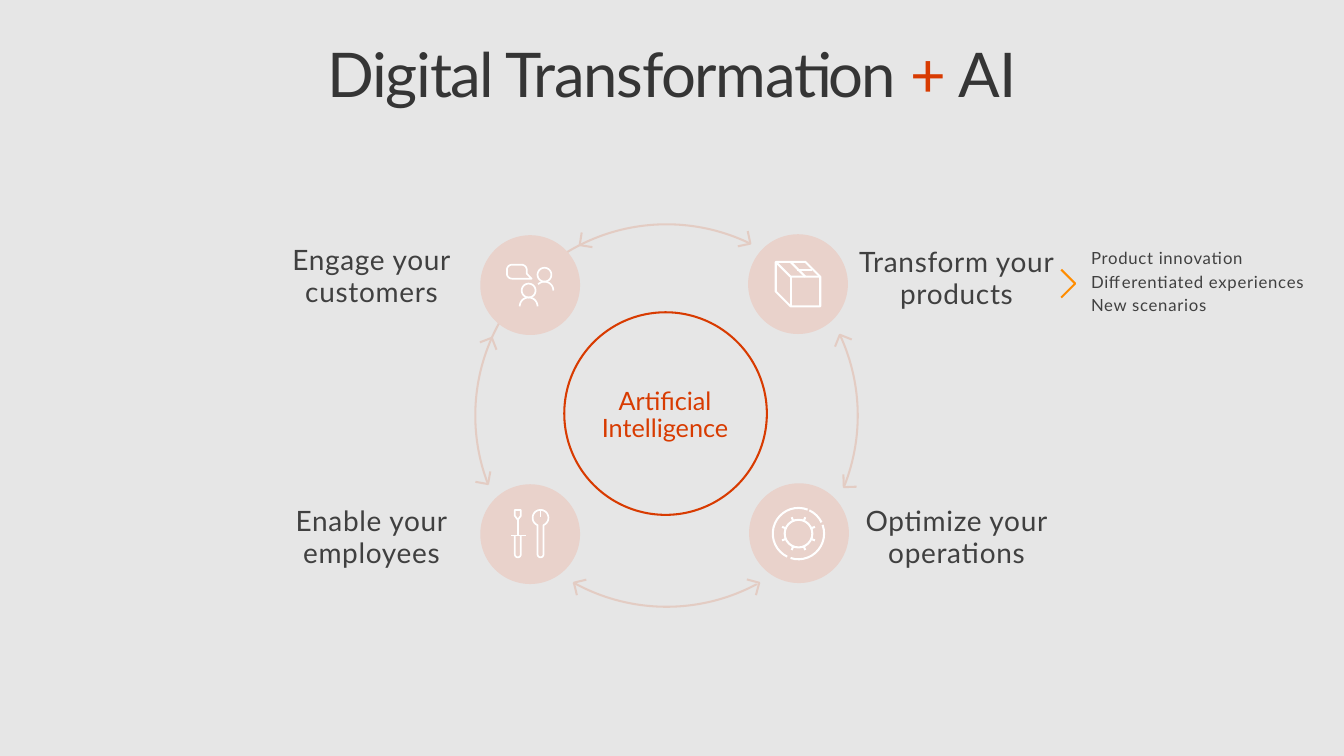
from math import cos, radians, sin

from lxml.etree import SubElement
from pptx import Presentation
from pptx.dml.color import RGBColor
from pptx.enum.shapes import MSO_CONNECTOR, MSO_SHAPE
from pptx.enum.text import MSO_ANCHOR, PP_ALIGN
from pptx.oxml.ns import qn
from pptx.util import Emu, Pt

EMU_PER_PX = 9144
FONT = "Lato"
BACKGROUND = "E6E6E6"
ACCENT = "D83B01"
BLUSH = "E9D2CB"
WHITE = "FFFFFF"
GRAY = "404040"
TITLE_GRAY = "353535"
ORANGE = "FF8C00"


def px(value):
    return Emu(round(value * EMU_PER_PX))


def color(value):
    return RGBColor.from_string(value)


def paint(shape, fill=None, line=None, width=1.5, opacity=None):
    shape.shadow.inherit = False
    if fill:
        shape.fill.solid()
        shape.fill.fore_color.rgb = color(fill)
        if opacity:
            tint = shape._element.spPr.find(qn("a:solidFill"))[0]
            SubElement(tint, qn("a:alpha"), val=str(opacity * 1000))
    else:
        shape.fill.background()
    if line:
        shape.line.color.rgb = color(line)
        shape.line.width = Pt(width)
    else:
        shape.line.fill.background()


def add_preset(slide, preset, left, top, width, height, **style):
    shape = slide.shapes.add_shape(preset, px(left), px(top), px(width), px(height))
    paint(shape, **style)
    return shape


def add_circle(slide, left, top, size, **style):
    return add_preset(slide, MSO_SHAPE.OVAL, left, top, size, size, **style)


def arc(center_x, center_y, radius, start, end):
    steps = max(4, round(abs(end - start) / 10))
    angles = [radians(start + (end - start) * step / steps) for step in range(steps + 1)]
    return [(center_x + radius * cos(a), center_y + radius * sin(a)) for a in angles]


def add_outline(slide, left, top, contours, line=WHITE, width=1.5):
    placed = [[(px(left + x), px(top + y)) for x, y in contour] for contour in contours]
    builder = slide.shapes.build_freeform(*placed[0][0])
    for index, contour in enumerate(placed):
        if index:
            builder.move_to(*contour[0])
        builder.add_line_segments(contour[1:], close=contour[0] == contour[-1])
    paint(builder.convert_to_shape(), line=line, width=width)


def add_chevron(slide, tip_x, tip_y, heading, length, line):
    first, last = (arc(tip_x, tip_y, length, heading + turn, heading + turn)[0]
                   for turn in (135, 225))
    add_outline(slide, 0, 0, [[first, (tip_x, tip_y), last]], line)


def add_stroke(slide, left, top, start, end):
    connector = slide.shapes.add_connector(
        MSO_CONNECTOR.STRAIGHT, px(left + start[0]), px(top + start[1]),
        px(left + end[0]), px(top + end[1]))
    connector.line.color.rgb = color(WHITE)
    connector.line.width = Pt(1.5)
    SubElement(connector._element.spPr, qn("a:effectLst"))


def set_frame(shape, margin_x, margin_y, anchor):
    frame = shape.text_frame
    frame.word_wrap = True
    frame.vertical_anchor = anchor
    frame.margin_left = frame.margin_right = px(margin_x)
    frame.margin_top = frame.margin_bottom = px(margin_y)
    return frame


def write(paragraph, runs, size, alignment, spacing, tracking=0):
    paragraph.alignment = alignment
    paragraph.line_spacing = spacing
    paragraph.font.name = FONT
    paragraph.font.size = Pt(size)
    if len(runs) == 1:
        paragraph.font.color.rgb = color(runs[0][1])
    for text, run_color in runs:
        run = paragraph.add_run()
        run.text = text
        if len(runs) > 1:
            run.font.color.rgb = color(run_color)
        if tracking:
            run._r.get_or_add_rPr().set("spc", str(tracking))


def add_text_box(slide, left, top, width, height, margin_x, margin_y, anchor=MSO_ANCHOR.TOP):
    box = slide.shapes.add_textbox(px(left), px(top), px(width), px(height))
    return set_frame(box, margin_x, margin_y, anchor)


def add_title(slide, left, top, width, height):
    frame = add_text_box(slide, left, top, width, height, 16, 10)
    runs = [("Digital Transformation ", TITLE_GRAY), ("+", ACCENT), (" AI", TITLE_GRAY)]
    write(frame.paragraphs[0], runs, 44.9, PP_ALIGN.CENTER, 0.9, -100)


def add_outcomes(slide, left, top, width, height):
    frame = add_text_box(slide, left + 9, top, width - 9, height, 20, 16)
    outcomes = ["Product innovation", "Differentiated experiences", "New scenarios"]
    for index, outcome in enumerate(outcomes):
        paragraph = frame.add_paragraph() if index else frame.paragraphs[0]
        paragraph.space_after = Pt(4.1)
        write(paragraph, [(outcome, GRAY)], 12.2, PP_ALIGN.LEFT, 0.9, 50)
    add_chevron(slide, left + 13, top + 50, 0, 20, ORANGE)


def add_ring(slide, left, top, size):
    add_circle(slide, left, top, size, line=ACCENT)
    for x, y in [(-10, 247), (261, 247), (261, -4)]:
        add_circle(slide, left + x, top + y, 132, fill=BACKGROUND)
    radius = size / 2
    arrowheads = [(204, 294), (159, 55), (119, 211), (61, 330),
                  (22, 133), (335, 247), (243, 144), (296, 33)]
    for position, heading in arrowheads:
        tip = arc(left + radius, top + radius, radius, position, position)[0]
        add_chevron(slide, *tip, heading, 13, ACCENT)
    veil = add_preset(slide, MSO_SHAPE.PIE, left - 14, top - 15, 429, 419,
                      fill=BACKGROUND, opacity=85)
    veil.adjustments[0] = 15.399
    veil.adjustments[1] = 198.938
    add_preset(slide, MSO_SHAPE.RECTANGLE, left + 358, top + 102, 44, 171,
               fill=BACKGROUND, opacity=85)


def add_core(slide, left, top, size):
    add_circle(slide, left, top, size, fill=BACKGROUND, line=ACCENT)
    caption = add_preset(slide, MSO_SHAPE.OVAL, left - 47, top + 1, 298, 208)
    frame = set_frame(caption, 0, 16, MSO_ANCHOR.MIDDLE)
    write(frame.paragraphs[0], [("Artificial Intelligence", ACCENT)], 18.4, PP_ALIGN.CENTER, 0.9)


def draw_customers(slide, left, top):
    people = [arc(49, 56, 7, 0, 360), arc(49, 72, 9, 180, 360),
              arc(65, 40, 7, 0, 360), arc(65, 56, 9, 225, 360)]
    add_outline(slide, left, top, people, width=1.25)
    bubble = (arc(32, 35, 5, 180, 270) + arc(42, 35, 5, 270, 360)
              + [(47, 39), (52, 44)] + arc(32, 39, 5, 90, 180) + [(27, 35)])
    add_outline(slide, left, top, [bubble], width=1.25)


def draw_tools(slide, left, top):
    screwdriver = [[(35, 26), (41, 26), (41, 32), (38, 36), (35, 32), (35, 26)],
                   [(38, 36), (38, 52)], [(31, 52), (46, 52)],
                   [(41, 52)] + arc(38, 71, 3, 0, 180) + [(35, 52)]]
    wrench_edge = arc(61, 34, 8, 112, 428) + arc(61, 71, 3, 0, 180)
    wrench = [wrench_edge + wrench_edge[:1], [(61, 26), (61, 33)]]
    for tool in (screwdriver, wrench):
        add_outline(slide, left, top, tool, width=1.25)


def draw_gear(slide, left, top):
    for start, end in [(116, 291), (295, 334), (340, 468)]:
        add_outline(slide, left, top, [arc(50, 51, 26, start, end)])
    add_circle(slide, left + 36, top + 37, 28, line=WHITE)
    for tooth in range(8):
        angle = 22.5 + 45 * tooth
        root, tip = (arc(50, 51, radius, angle, angle)[0] for radius in (14, 18))
        add_stroke(slide, left, top, root, tip)


def draw_package(slide, left, top):
    edge = [(73, 43), (58, 28), (28, 28), (28, 58), (43, 73), (73, 73), (73, 43)]
    for contour in (edge, [(73, 43), (43, 43), (28, 28)]):
        add_outline(slide, left, top, [contour])
    for start, end in [((43, 43), (43, 73)), ((43, 28), (58, 43)), ((50, 36), (65, 36))]:
        add_stroke(slide, left, top, start, end)


def add_station(slide, left, top, label, label_left, label_top, draw_icon):
    add_circle(slide, left, top, 101, fill=BLUSH)
    draw_icon(slide, left, top)
    frame = add_text_box(slide, label_left, label_top, 240, 99, 20, 16, MSO_ANCHOR.MIDDLE)
    write(frame.paragraphs[0], [(label, GRAY)], 20.4, PP_ALIGN.CENTER, 0.95, 50)


def main():
    presentation = Presentation()
    presentation.slide_width, presentation.slide_height = px(1360), px(765)
    slide = presentation.slides.add_slide(presentation.slide_layouts[6])
    slide.background.fill.solid()
    slide.background.fill.fore_color.rgb = color(BACKGROUND)
    add_title(slide, 30, 35, 1300, 100)
    add_outcomes(slide, 1075, 237, 281, 100)
    add_ring(slide, 481, 227, 387)
    add_station(slide, 486, 238, "Engage your customers", 256, 231, draw_customers)
    add_station(slide, 486, 490, "Enable your employees", 256, 495, draw_tools)
    add_station(slide, 758, 489, "Optimize your operations", 848, 495, draw_gear)
    add_station(slide, 757, 237, "Transform your products", 848, 233, draw_package)
    add_core(slide, 571, 316, 205)
    presentation.save("out.pptx")


if __name__ == "__main__":
    main()
